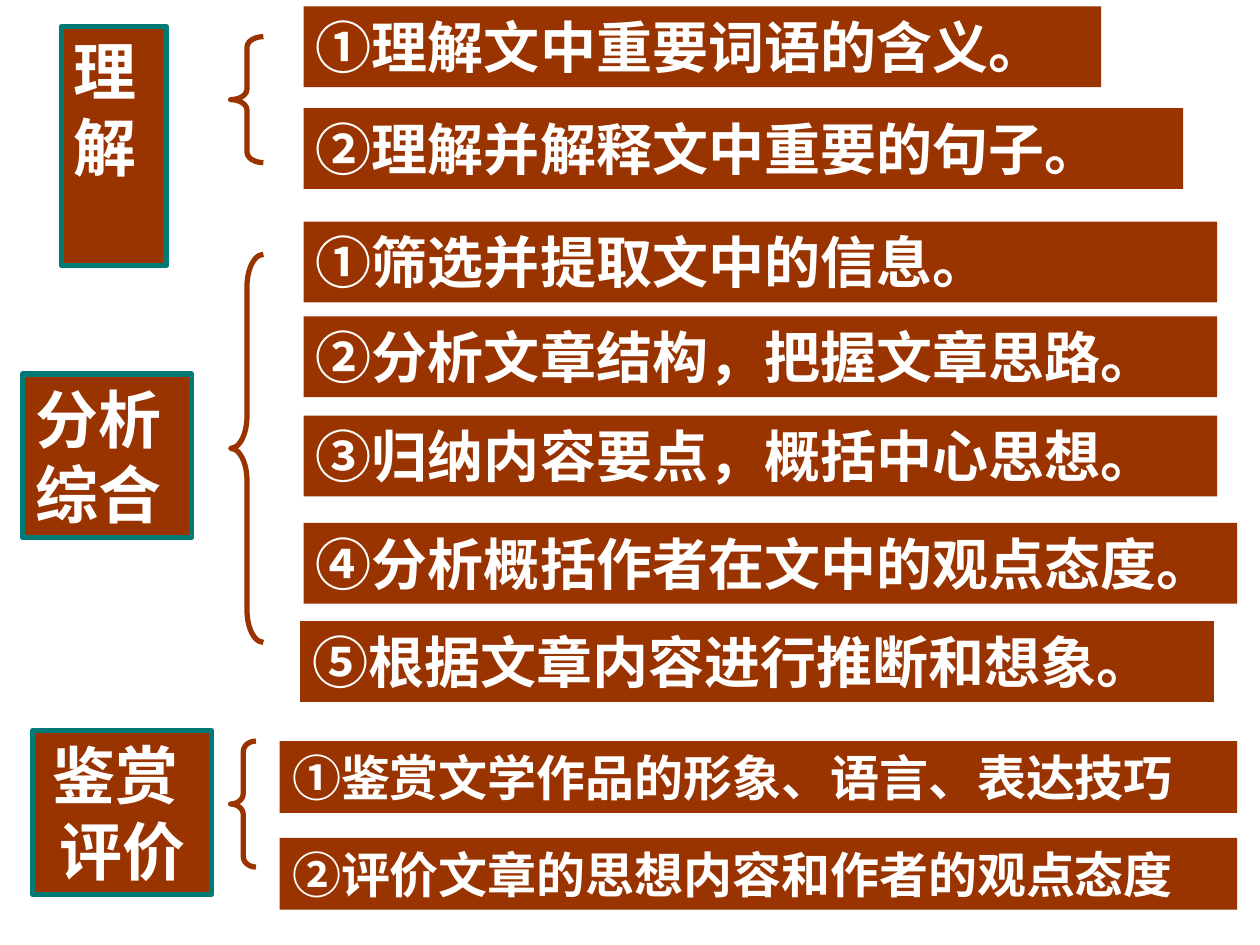
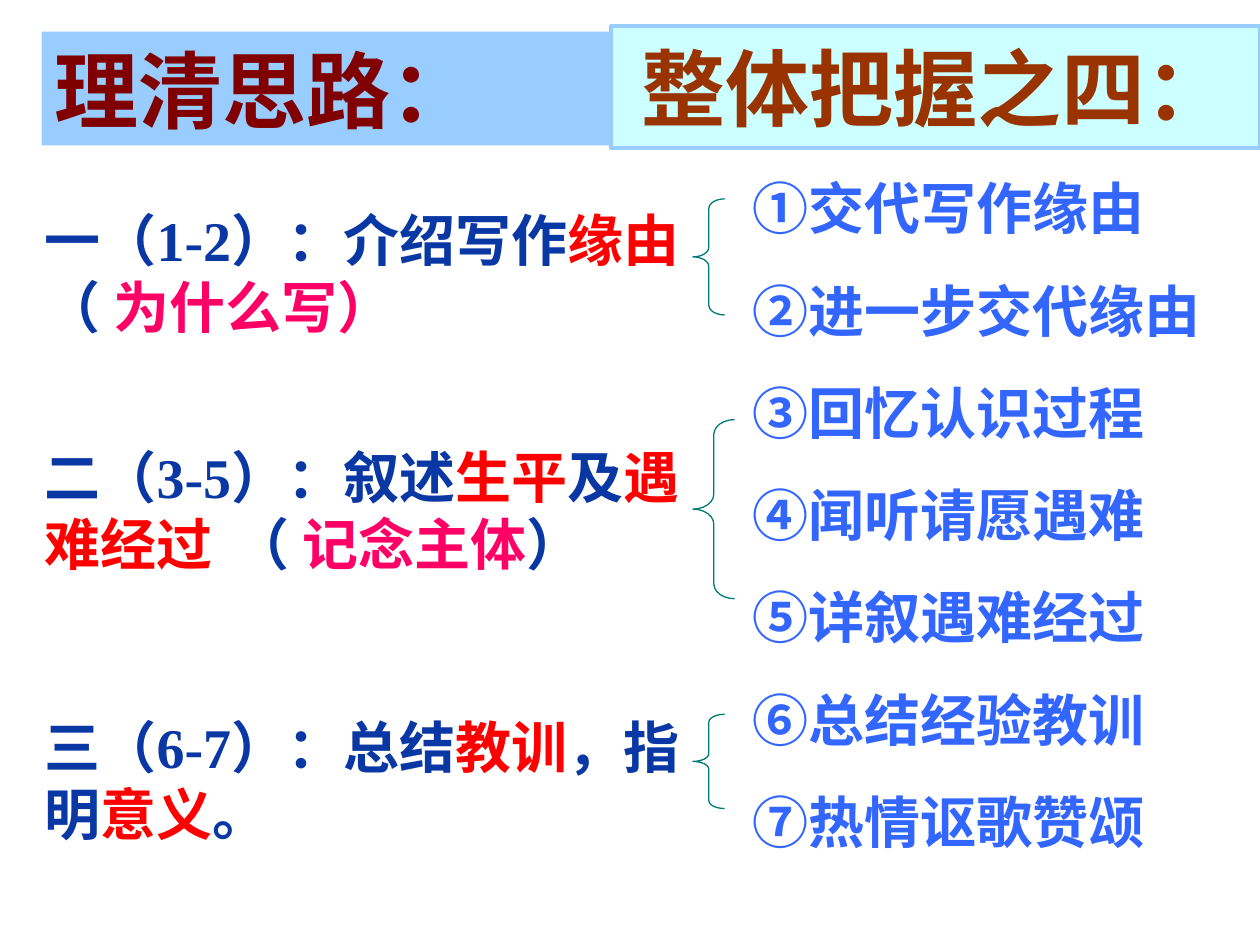
from lxml.etree import SubElement
from pptx import Presentation
from pptx.dml.color import RGBColor
from pptx.enum.shapes import MSO_SHAPE as Preset
from pptx.enum.text import MSO_ANCHOR as Anchor, MSO_AUTO_SIZE as AutoSize, PP_ALIGN as Align
from pptx.oxml.ns import qn
from pptx.util import Cm, Pt

RUST, TEAL, WHITE, SKY, AQUA = "993300", "007A77", "FFFFFF", "99CCFF", "CCFFFF"
MAROON, BLUE, NAVY, RED, PINK = "800000", "3366FF", "0937A4", "FF0000", "FF0066"
CJK, SERIF = "Noto Sans CJK SC", "Times New Roman"


def add_shape(slide, preset, position, fill=None, line=None, line_width=3):
    """Add a preset shape placed in centimetres; braces get evenly rounded ends."""
    left, top, width, height = position
    shape = slide.shapes.add_shape(preset, Cm(left), Cm(top), Cm(width), Cm(height))
    shape.shadow.inherit = False
    if fill:
        shape.fill.solid()
        shape.fill.fore_color.rgb = RGBColor.from_string(fill)
    else:
        shape.fill.background()
    if line:
        shape.line.color.rgb = RGBColor.from_string(line)
        shape.line.width = Pt(line_width)
    else:
        shape.line.fill.background()
    if preset == Preset.LEFT_BRACE:
        shape.adjustments[0] = height / 12 / width
    shape.text_frame.vertical_anchor = Anchor.TOP
    return shape


def format_paragraph(paragraph, name, size, color, align=Align.LEFT):
    paragraph.alignment = align
    font = paragraph.font
    font.name, font.size, font.bold = name, Pt(size), True
    font.color.rgb = RGBColor.from_string(color)
    if name == CJK:
        default = paragraph._p.pPr.find(qn("a:defRPr"))
        SubElement(default, qn("a:ea"), typeface=name)


presentation = Presentation()
presentation.slide_width, presentation.slide_height = Cm(25.4), Cm(19.05)

# Slide 1: reading skills, each with a label, a brace and its requirements
slide = presentation.slides.add_slide(presentation.slide_layouts[6])

requirements = [
    (6.12, 0.13, 16.08, 32, "①理解文中重要词语的含义。"),
    (6.12, 2.18, 17.73, 32, "②理解并解释文中重要的句子。"),
    (6.12, 4.47, 18.42, 32, "①筛选并提取文中的信息。"),
    (6.12, 6.38, 18.42, 32, "②分析文章结构，把握文章思路。"),
    (6.12, 8.38, 18.42, 32, "③归纳内容要点，概括中心思想。"),
    (6.12, 10.54, 18.82, 32, "④分析概括作者在文中的观点态度。"),
    (6.05, 12.52, 18.42, 32, "⑤根据文章内容进行推断和想象。"),
    (5.64, 14.94, 19.3, 28, "①鉴赏文学作品的形象、语言、表达技巧"),
    (5.64, 16.89, 19.3, 28, "②评价文章的思想内容和作者的观点态度"),
]
for left, top, width, size, text in requirements:
    height = 1.63 if size == 32 else 1.45
    bar = add_shape(slide, Preset.RECTANGLE, (left, top, width, height), RUST)
    bar.text_frame.text = text
    format_paragraph(bar.text_frame.paragraphs[0], CJK, size, WHITE)

skills = [
    ((1.24, 0.53, 2.11, 4.83), "理\n解", Align.LEFT, (4.65, 0.74, 0.66, 2.54)),
    ((0.46, 7.54, 3.4, 3.3), "分析\n综合", Align.LEFT, (4.65, 5.13, 0.66, 7.82)),
    ((0.66, 14.73, 3.61, 3.3), "鉴赏 \n评价", Align.CENTER, (4.65, 14.94, 0.51, 2.54)),
]
for position, text, align, brace_position in skills:
    label = add_shape(slide, Preset.RECTANGLE, position, RUST, TEAL)
    label.text_frame.text = text
    for paragraph in label.text_frame.paragraphs:
        format_paragraph(paragraph, CJK, 36, WHITE, align)
    add_shape(slide, Preset.LEFT_BRACE, brace_position, line=RUST)

# Slide 2: the three parts of the essay and the seven sections they cover
slide = presentation.slides.add_slide(presentation.slide_layouts[3])
title, section_list, part_list = slide.placeholders
placements = [
    (title, (0.84, 0.64, 23.5, 2.29)),
    (section_list, (14.91, 3.38, 9.65, 13.97)),
    (part_list, (0.64, 4.01, 13.46, 13.21)),
]
for placeholder, position in placements:
    placeholder.left, placeholder.top, placeholder.width, placeholder.height = map(Cm, position)
    placeholder.text_frame.auto_size = AutoSize.NONE
    placeholder.text_frame.vertical_anchor = Anchor.TOP

title.fill.solid()
title.fill.fore_color.rgb = RGBColor.from_string(SKY)
title.text_frame.text = "理清思路："
format_paragraph(title.text_frame.paragraphs[0], "Noto Sans CJK JP", 48, MAROON)

section_list.text_frame.text = "\n".join([
    "①交代写作缘由", "②进一步交代缘由", "③回忆认识过程", "④闻听请愿遇难",
    "⑤详叙遇难经过", "⑥总结经验教训", "⑦热情讴歌赞颂",
])

# Space before in points, tab stop in centimetres, coloured runs
parts = [
    (0, 2.67, [("一（1-2）：介绍写作", NAVY), ("缘由", RED), ("\t（ ", NAVY), ("为什么写）", PINK)]),
    (58.5, 5.03, [("二（3-5）：叙述", NAVY), ("生平", RED), ("及", NAVY), ("遇难经过", RED),
                  ("\t（ ", NAVY), ("记念主体", PINK), ("）", NAVY)]),
    (77.5, None, [("三（6-7）：总结", NAVY), ("教训", RED), ("，指明", NAVY), ("意义", RED),
                  ("。", NAVY)]),
]
part_frame = part_list.text_frame
for index, (space, tab, runs) in enumerate(parts):
    paragraph = part_frame.add_paragraph() if index else part_frame.paragraphs[0]
    for text, color in runs:
        run = paragraph.add_run()
        run.text = text
        run.font.color.rgb = RGBColor.from_string(color)

spaces = [0] + [20] * 6 + [space for space, _, _ in parts]
tabs = [None] * 7 + [tab for _, tab, _ in parts]
paragraphs = section_list.text_frame.paragraphs + part_frame.paragraphs
for paragraph, space, tab in zip(paragraphs, spaces, tabs):
    properties = paragraph._p.get_or_add_pPr()
    properties.set("marL", "0")
    properties.set("indent", "0")
    SubElement(properties, qn("a:buNone"))
    if tab:
        tab_list = SubElement(properties, qn("a:tabLst"))
        SubElement(tab_list, qn("a:tab"), pos=str(int(Cm(tab))), algn="l")
    paragraph.space_before = Pt(space)
    format_paragraph(paragraph, SERIF, 32, BLUE)

for top, width, height in [(4.01, 0.64, 2.34), (8.46, 0.84, 3.61), (14.4, 0.64, 1.9)]:
    add_shape(slide, Preset.LEFT_BRACE, (13.97, top, width, height), line=TEAL, line_width=0.75)

banner = add_shape(slide, Preset.RECTANGLE, (12.32, 0.53, 13.08, 2.46), AQUA, SKY, 2.5)
banner.text_frame.vertical_anchor = Anchor.MIDDLE
banner.text_frame.word_wrap = False
banner.text_frame.text = "整体把握之四："
format_paragraph(banner.text_frame.paragraphs[0], "Arial", 48, RUST, Align.CENTER)

presentation.save("out.pptx")
